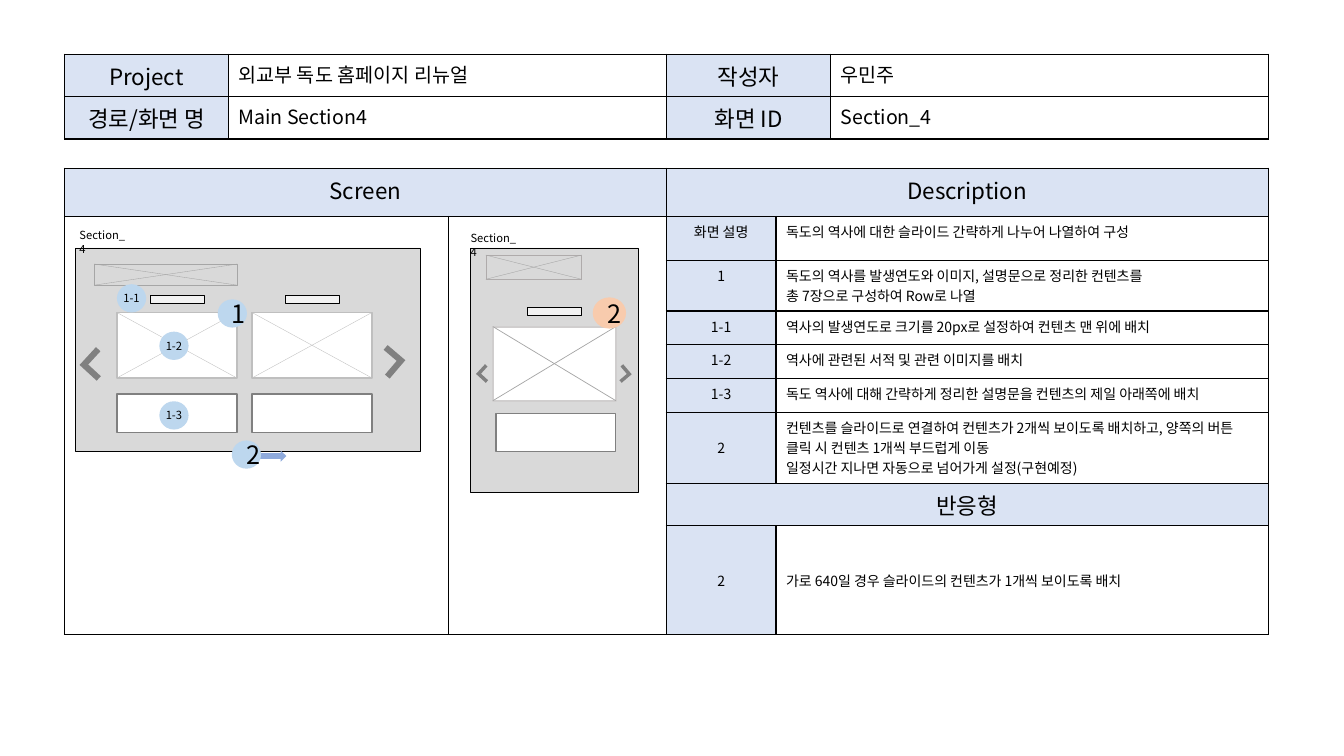
from dataclasses import dataclass
from typing import Any, NamedTuple

import lxml.etree
import pptx
import pptx.dml.color
import pptx.enum.shapes
import pptx.enum.text
import pptx.oxml.ns
import pptx.util

Pt = pptx.util.Pt
SHAPE = pptx.enum.shapes.MSO_SHAPE
ALIGN = pptx.enum.text.PP_ALIGN
ANCHOR = pptx.enum.text.MSO_ANCHOR
qn = pptx.oxml.ns.qn

FONT = "Noto Sans CJK KR"
BLACK, WHITE, HEADER = "000000", "FFFFFF", "DAE3F3"
PANEL, TAG, GREY, CROSS = "D9D9D9", "F2F2F2", "808080", "A5A5A5"
BLUE, ORANGE = "BDD7EE", "F8CBAD"


class Box(NamedTuple):
    left: float
    top: float
    width: float
    height: float


class Entry(NamedTuple):
    row: int
    column: int
    text: str
    size: float
    header: bool = False
    middle: bool = False


@dataclass
class Badge:
    text: str
    left: float
    top: float
    size: float = 18
    width: float = 20.9
    height: float = 20.2
    color: str = BLUE


def rgb(color: str) -> pptx.dml.color.RGBColor:
    return pptx.dml.color.RGBColor.from_string(color)


def write(frame: Any, text: str, size: float, centered: bool = False) -> None:
    frame.text = text
    for paragraph in frame.paragraphs:
        paragraph.alignment = ALIGN.CENTER if centered else ALIGN.LEFT
        paragraph.font.size = Pt(size)
        paragraph.font.color.rgb = rgb(BLACK)
        paragraph.font.name = FONT
        defaults = paragraph._p.pPr.find(qn("a:defRPr"))
        lxml.etree.SubElement(defaults, qn("a:ea"), typeface=FONT)


def draw(shapes: Any, kind: Any, box: Box, fill: str = "", line: str = "",
         weight: float = 0.25) -> Any:
    shape = shapes.add_shape(kind, *map(Pt, box))
    shape.shadow.inherit = False
    if fill:
        shape.fill.solid()
        shape.fill.fore_color.rgb = rgb(fill)
    else:
        shape.fill.background()
    if line:
        shape.line.color.rgb = rgb(line)
        shape.line.width = Pt(weight)
    else:
        shape.line.fill.background()
    return shape


def draw_image_box(shapes: Any, box: Box, fill: str, line: str, weight: float,
                   cross: str, cross_weight: float = 0.25) -> None:
    draw(shapes, SHAPE.RECTANGLE, box, fill, line, weight)
    right, bottom = box.left + box.width, box.top + box.height
    for start, end in ((box.top, bottom), (bottom, box.top)):
        diagonal = shapes.add_connector(
            pptx.enum.shapes.MSO_CONNECTOR.STRAIGHT,
            Pt(box.left), Pt(start), Pt(right), Pt(end))
        diagonal.line.color.rgb = rgb(cross)
        diagonal.line.width = Pt(cross_weight)
        lxml.etree.SubElement(diagonal._element.spPr, qn("a:effectLst"))


def draw_chevron(shapes: Any, box: Box, rotation: float) -> None:
    chevron = draw(shapes, SHAPE.from_xml("corner"), box, GREY)
    chevron.rotation = rotation
    for index in range(2):
        chevron.adjustments[index] = 0.264


def draw_badge(shapes: Any, badge: Badge) -> None:
    circle = draw(shapes, SHAPE.OVAL,
                  Box(badge.left, badge.top, badge.width, badge.height), badge.color)
    frame = circle.text_frame
    write(frame, badge.text, badge.size, centered=True)
    frame.vertical_anchor = ANCHOR.MIDDLE
    if len(badge.text) > 1:
        frame.word_wrap = False
        frame.margin_left = frame.margin_right = 0
        frame.margin_top = frame.margin_bottom = 0


def set_borders(cell: Any) -> None:
    properties = cell._tc.get_or_add_tcPr()
    for index, side in enumerate(("a:lnL", "a:lnR", "a:lnT", "a:lnB")):
        border = lxml.etree.Element(qn(side), w=str(Pt(1)))
        fill = lxml.etree.SubElement(border, qn("a:solidFill"))
        lxml.etree.SubElement(fill, qn("a:srgbClr"), val=BLACK)
        properties.insert(index, border)


def draw_table(shapes: Any, left: float, top: float, widths: list[float],
               heights: list[float], entries: list[Entry],
               merges: list[tuple[int, int, int, int]]) -> None:
    table = shapes.add_table(len(heights), len(widths), Pt(left), Pt(top),
                             Pt(sum(widths)), Pt(sum(heights))).table
    table.first_row = table.horz_banding = False
    for column, width in zip(table.columns, widths):
        column.width = Pt(width)
    for row, height in zip(table.rows, heights):
        row.height = Pt(height)
    for cell in table.iter_cells():
        cell.fill.solid()
        cell.fill.fore_color.rgb = rgb(WHITE)
        set_borders(cell)
    for first_row, first_column, last_row, last_column in merges:
        table.cell(first_row, first_column).merge(table.cell(last_row, last_column))
    for entry in entries:
        cell = table.cell(entry.row, entry.column)
        write(cell.text_frame, entry.text, entry.size, entry.header)
        if entry.header:
            cell.fill.fore_color.rgb = rgb(HEADER)
        if entry.middle:
            cell.vertical_anchor = ANCHOR.MIDDLE


presentation = pptx.Presentation()
presentation.slide_width, presentation.slide_height = Pt(960), Pt(540)
slide = presentation.slides.add_slide(presentation.slide_layouts[6])
shapes = slide.shapes

# Project information
project_rows = [("Project", "외교부 독도 홈페이지 리뉴얼", "작성자", "우민주"),
                ("경로/화면 명", "Main Section4", "화면 ID", "Section_4")]
project = [Entry(r, c, text, 14 if c % 2 else 16, c % 2 == 0)
           for r, row in enumerate(project_rows) for c, text in enumerate(row)]
draw_table(shapes, 46.1, 38.7, [117, 313, 117.4, 312.4], [30.2, 30.2], project, [])

# Screen and description
descriptions = [
    (1, "화면 설명", "독도의 역사에 대한 슬라이드 간략하게 나누어 나열하여 구성"),
    (2, "1", "독도의 역사를 발생연도와 이미지, 설명문으로 정리한 컨텐츠를 \n"
             "총 7장으로 구성하여 Row로 나열"),
    (3, "1-1", "역사의 발생연도로 크기를 20px로 설정하여 컨텐츠 맨 위에 배치"),
    (4, "1-2", "역사에 관련된 서적 및 관련 이미지를 배치"),
    (5, "1-3", "독도 역사에 대해 간략하게 정리한 설명문을 컨텐츠의 제일 아래쪽에 배치"),
    (6, "2", "컨텐츠를 슬라이드로 연결하여 컨텐츠가 2개씩 보이도록 배치하고, "
             "양쪽의 버튼 클릭 시 컨텐츠 1개씩 부드럽게 이동\n"
             "일정시간 지나면 자동으로 넘어가게 설정(구현예정)"),
    (8, "2", "가로 640일 경우 슬라이드의 컨텐츠가 1개씩 보이도록 배치"),
]
details = [Entry(0, 0, "Screen", 16, True), Entry(0, 2, "Description", 16, True),
           Entry(7, 2, "반응형", 16, True)]
for row, label, description in descriptions:
    details += [Entry(row, 2, label, 10, True, row >= 6),
                Entry(row, 3, description, 10, False, row >= 6)]
draw_table(shapes, 46.1, 120.2, [274.3, 155.5, 78.5, 351.5],
           [34.5, 31.5, 35.7, 24.1, 24.1, 24.1, 50.7, 30, 77.8], details,
           [(0, 0, 0, 1), (0, 2, 0, 3), (1, 0, 8, 0), (1, 1, 8, 1), (7, 2, 7, 3)])

# Desktop screen
desktop = shapes.add_group_shape().shapes
draw(desktop, SHAPE.RECTANGLE, Box(54, 177.1, 246.2, 145.4), PANEL, BLACK)
draw_image_box(desktop, Box(67.3, 188.6, 102.2, 15.1), "", "A6A6A6", 0.25, CROSS)
draw_chevron(desktop, Box(60.5, 251.3, 16.6, 17.3), 42.6)
draw_chevron(desktop, Box(269.3, 249.8, 16.6, 17.3), 220.4)
for left in (83.5, 180):
    draw(desktop, SHAPE.RECTANGLE, Box(left, 281.5, 85.7, 27.4), WHITE, GREY, 1)
    draw_image_box(desktop, Box(left, 223.2, 85.7, 46.8), WHITE, "BFBFBF", 1, "BFBFBF")
    draw(desktop, SHAPE.RECTANGLE, Box(left + 23.5, 211, 38.9, 5.8), TAG, BLACK)

# Mobile screen
mobile = shapes.add_group_shape().shapes
draw(mobile, SHAPE.RECTANGLE, Box(336.2, 177.1, 119.5, 174.2), PANEL, BLACK)
draw_image_box(mobile, Box(347, 182.2, 68.4, 17.3), "", "AFABAB", 0.25, CROSS)
draw_chevron(mobile, Box(342, 262.1, 9.4, 9.4), 42.6)
draw_chevron(mobile, Box(439.9, 262.1, 9.4, 9.4), 229.6)
draw_image_box(mobile, Box(352.1, 233.3, 87.8, 52.9), WHITE, "D0CECE", 1.5, CROSS, 0.5)
draw(mobile, SHAPE.RECTANGLE, Box(376.6, 219.6, 38.9, 5.8), TAG, BLACK)
draw(mobile, SHAPE.RECTANGLE, Box(354.2, 295.2, 85.7, 27.4), WHITE, GREY, 1)

# Section names
for left, top in ((49.7, 159.8), (329, 162)):
    section = shapes.add_textbox(Pt(left), Pt(top), Pt(49), Pt(17.3)).text_frame
    section.word_wrap = True
    write(section, "Section_4", 8)

# Numbered badges and slide direction
draw(shapes, SHAPE.RIGHT_ARROW, Box(180.7, 321.8, 23.8, 7.9), "8FAADC")
for badge in (Badge("1", 155.5, 213.8),
              Badge("2", 423.4, 212.4, width=23.8, height=22.3, color=ORANGE),
              Badge("1-1", 83.5, 203, 8), Badge("1-2", 113.8, 236.9, 8),
              Badge("1-3", 113.8, 286.6, 8), Badge("2", 165.6, 314.6)):
    draw_badge(shapes, badge)

presentation.save("out.pptx")
